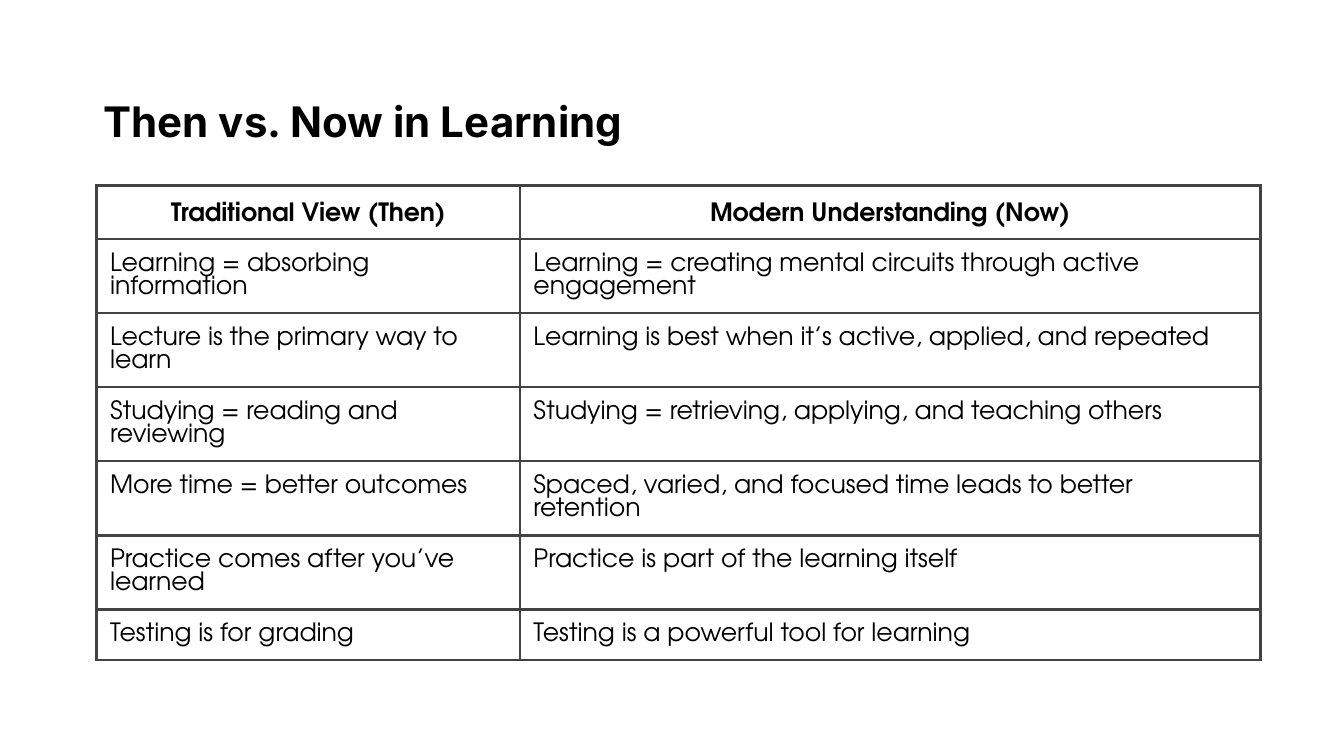
from dataclasses import dataclass

from lxml.etree import SubElement
from pptx import Presentation
from pptx.dml.color import RGBColor
from pptx.enum.text import MSO_ANCHOR, MSO_AUTO_SIZE, PP_ALIGN
from pptx.oxml.ns import qn
from pptx.util import Pt


@dataclass(frozen=True)
class Theme:
    ink: str = "000000"
    border: str = "434343"
    border_width: float = 1.5
    title_font: str = "Inter"
    table_font: str = "TeX Gyre Adventor"
    title_size: float = 22.5
    table_size: float = 13.5
    cell_inset: float = 7.2


THEME = Theme()
COLUMN_WIDTHS = (226.8, 396.7)
ROW_HEIGHT = 15.1
VIEWS = (
    ("Traditional View (Then)", "Modern Understanding (Now)"),
    ("Learning = absorbing information",
     "Learning = creating mental circuits through active engagement"),
    ("Lecture is the primary way to learn",
     "Learning is best when it’s active, applied, and repeated"),
    ("Studying = reading and reviewing",
     "Studying = retrieving, applying, and teaching others"),
    ("More time = better outcomes",
     "Spaced, varied, and focused time leads to better retention"),
    ("Practice comes after you’ve learned",
     "Practice is part of the learning itself"),
    ("Testing is for grading", "Testing is a powerful tool for learning"),
)


def format_paragraph(para, font, size, bold, align, spacing):
    para.alignment = align
    para.line_spacing = spacing
    for span in para.runs:
        span.font.name = font
        span.font.size = Pt(size)
        span.font.bold = bold
        span.font.color.rgb = RGBColor.from_string(THEME.ink)


def add_title(page, text):
    title = page.shapes.title
    title.left, title.top = Pt(48.2), Pt(48.2)
    title.width, title.height = Pt(302.4), Pt(27.4)
    frame = title.text_frame
    frame.text = text
    frame.word_wrap = True
    frame.auto_size = MSO_AUTO_SIZE.NONE
    frame.vertical_anchor = MSO_ANCHOR.MIDDLE
    format_paragraph(frame.paragraphs[0], THEME.title_font, THEME.title_size,
                     True, PP_ALIGN.LEFT, 1.2)


def draw_borders(cell):
    properties = cell._tc.get_or_add_tcPr()
    for side in ("a:lnL", "a:lnR", "a:lnT", "a:lnB"):
        line = SubElement(properties, qn(side), w=str(Pt(THEME.border_width)))
        fill = SubElement(line, qn("a:solidFill"))
        SubElement(fill, qn("a:srgbClr"), val=THEME.border)


def fill_cell(cell, text, is_header):
    draw_borders(cell)
    cell.fill.background()
    cell.margin_left = cell.margin_right = Pt(THEME.cell_inset)
    cell.margin_top = cell.margin_bottom = Pt(THEME.cell_inset)
    cell.vertical_anchor = MSO_ANCHOR.TOP
    cell.text_frame.text = text
    align = PP_ALIGN.CENTER if is_header else PP_ALIGN.LEFT
    format_paragraph(cell.text_frame.paragraphs[0], THEME.table_font,
                     THEME.table_size, is_header, align,
                     1.15 if is_header else 1.0)


def add_comparison_table(page, rows):
    table = page.shapes.add_table(
        len(rows), len(COLUMN_WIDTHS), Pt(51.8), Pt(99.4),
        Pt(sum(COLUMN_WIDTHS)), Pt(ROW_HEIGHT * len(rows))).table
    table.horz_banding = False
    for column, width in zip(table.columns, COLUMN_WIDTHS):
        column.width = Pt(width)
    for row_index, texts in enumerate(rows):
        table.rows[row_index].height = Pt(ROW_HEIGHT)
        for column_index, text in enumerate(texts):
            fill_cell(table.cell(row_index, column_index), text, row_index == 0)


def main():
    deck = Presentation()
    deck.slide_width, deck.slide_height = Pt(720), Pt(405)
    page = deck.slides.add_slide(deck.slide_layouts[5])
    add_title(page, "Then vs. Now in Learning")
    add_comparison_table(page, VIEWS)
    deck.save("out.pptx")


if __name__ == "__main__":
    main()
